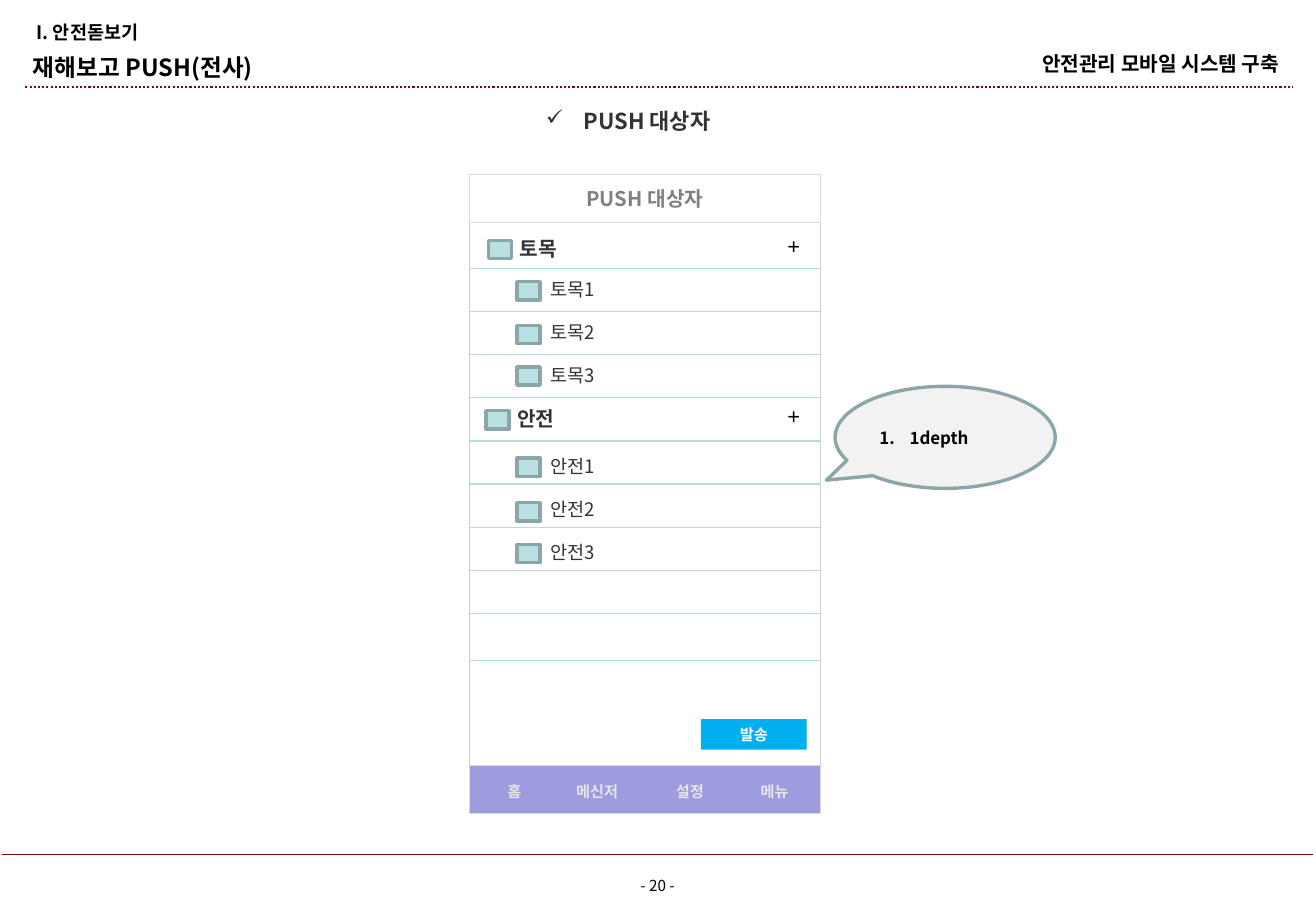
"""Build the slide on push targets in the mobile safety app."""
import pptx
import pptx.util
import pptx.dml.color
import pptx.enum.dml
import pptx.enum.shapes
import pptx.enum.text
import pptx.oxml.ns
import lxml.etree

Pt = pptx.util.Pt
RGB = pptx.dml.color.RGBColor
Kind = pptx.enum.shapes.MSO_SHAPE
Side = pptx.enum.text.PP_ALIGN
Edge = pptx.enum.text.MSO_ANCHOR
qn = pptx.oxml.ns.qn

SANS = "Noto Sans CJK KR"
BLACK = RGB(0, 0, 0)
WHITE = RGB(255, 255, 255)
DARK = RGB(0x33, 0x33, 0x33)
GRAY = RGB(0x80, 0x80, 0x80)
FRAME = RGB(0xCC, 0xCC, 0xCC)
RIM = RGB(0xD9, 0xD9, 0xD9)
PALE = RGB(0xE6, 0xE6, 0xE6)
CLOUD = RGB(0xF2, 0xF2, 0xF2)
RED = RGB(0x7D, 0x09, 0x05)
TEAL = RGB(0xB6, 0xDC, 0xDF)
AQUA = RGB(0xBB, 0xE0, 0xE3)
SLATE = RGB(0x8A, 0xA6, 0xA8)
BLUE = RGB(0, 0xB0, 0xF0)
LILAC = RGB(0x9C, 0x9C, 0xDF)

deck = pptx.Presentation()
deck.slide_width, deck.slide_height = Pt(780), Pt(540)
slide = deck.slides.add_slide(deck.slide_layouts[6])
shapes = slide.shapes


def draw(kind, place, fill, line=None, width=0.5):
    shape = shapes.add_shape(kind, *map(Pt, place))
    shape.shadow.inherit = False
    shape.fill.solid()
    shape.fill.fore_color.rgb = fill
    if line is None:
        shape.line.fill.background()
    else:
        shape.line.color.rgb = line
        shape.line.width = Pt(width)
    return shape


def write(target, text, size, color, bold=True, align=Side.CENTER,
          anchor=Edge.TOP, inset=True, face=SANS, bullet=None, indent=0):
    if isinstance(target, tuple):
        target = shapes.add_textbox(*map(Pt, target))
    frame = target.text_frame
    frame.word_wrap = True
    frame.vertical_anchor = anchor
    if not inset:
        frame.margin_left = frame.margin_right = 0
        frame.margin_top = frame.margin_bottom = 0
    frame.text = text
    para = frame.paragraphs[0]
    para.alignment = align
    if bullet:
        props = para._p.get_or_add_pPr()
        props.set("marL", str(Pt(indent)))
        props.set("indent", str(-Pt(indent)))
        tag, key, value = bullet
        lxml.etree.SubElement(props, qn(tag)).set(key, value)
    run = para.runs[0]
    run.font.size = Pt(size)
    run.font.bold = bold
    run.font.color.rgb = color
    run.font.name = face
    east = lxml.etree.SubElement(run._r.get_or_add_rPr(), qn("a:ea"))
    east.set("typeface", face)
    return para


write((365.5, 516, 48.5, 18), "- 20 -", 9, BLACK, bold=False)
write((523.5, 28.8, 237.6, 17.3), "안전관리 모바일 시스템 구축 ", 12, BLACK,
      align=Side.RIGHT, anchor=Edge.MIDDLE, inset=False)
write((19.5, 31, 316.8, 17.3), "재해보고 PUSH(전사)", 14, BLACK,
      align=Side.LEFT, anchor=Edge.MIDDLE, inset=False)
part = write((21.6, 10.8, 255.6, 15.1), "I. 안전돋보기", 11, BLACK,
             align=Side.LEFT, anchor=Edge.MIDDLE, inset=False)
part.line_spacing = 1.1
write((266.4, 60.5, 211.7, 23), "PUSH 대상자", 13, DARK,
      bullet=("a:buChar", "char", "✓"), indent=22.5)

draw(Kind.RECTANGLE, (278, 103.3, 208.5, 378.5), WHITE, FRAME)
title = draw(Kind.RECTANGLE, (278, 103.3, 208.5, 28.6), WHITE, RIM)
write(title, "PUSH 대상자", 12, GRAY, anchor=Edge.MIDDLE)
send = draw(Kind.RECTANGLE, (415.5, 426.3, 62.6, 18), BLUE)
write(send, "발송", 9, WHITE)
draw(Kind.RECTANGLE, (278, 454, 208.5, 28.5), LILAC, RIM)
tabs = [("홈", 280), ("메신저", 329), ("설정", 384), ("메뉴", 434.2)]
for name, left in tabs:
    write((left, 460.4, 49.7, 18), name, 9, PALE)

rules = [(278.5, 486.5, 159.2 + 25.55 * i, TEAL, 0.75) for i in range(9)]
rules += [(278.5, 486.5, 391.7, TEAL, 0.75),
          (1.5, 778.5, 506.5, RED, 0.75),
          (15, 766, 51.7, RED, 1.25)]
for left, right, y, color, width in rules:
    rule = shapes.add_connector(pptx.enum.shapes.MSO_CONNECTOR.STRAIGHT,
                                Pt(left), Pt(y), Pt(right), Pt(y))
    rule.line.color.rgb = color
    rule.line.width = Pt(width)
    lxml.etree.SubElement(rule._element.spPr, qn("a:effectLst"))
rule.line.dash_style = pptx.enum.dml.MSO_LINE.ROUND_DOT

groups = [("토목", 301, 136.8, 142.6, 289.4, 131.8),
          ("안전", 299.5, 237.6, 243.4, 288, 232.6)]
for name, left, top, check, edge, plus in groups:
    write((left, top, 145.4, 21.6), name, 12, DARK, align=Side.LEFT)
    draw(Kind.RECTANGLE, (edge, check, 13.7, 10.8), AQUA, SLATE, 2)
    write((455, plus, 31, 27.4), "+", 13, BLACK, bold=False,
          anchor=Edge.MIDDLE, face="Arial")

items = [("토목1", 161.2, 167), ("토목2", 186.6, 193), ("토목3", 212.2, 217.5),
         ("안전1", 266.4, 271.5), ("안전2", 291.7, 298), ("안전3", 317.4, 322.6)]
for name, top, check in items:
    write((319, top, 145.4, 20.6), name, 11, DARK, bold=False, align=Side.LEFT)
    draw(Kind.RECTANGLE, (306.4, check, 13.7, 10.8), AQUA, SLATE, 2)

note = draw(Kind.OVAL_CALLOUT, (495, 229, 130.5, 60.5), CLOUD, SLATE, 2)
note.adjustments[0], note.adjustments[1] = -0.54, 0.42
write(note, "1depth", 10, BLACK, align=Side.LEFT, anchor=Edge.MIDDLE,
      bullet=("a:buAutoNum", "type", "arabicPeriod"), indent=18)

deck.save("out.pptx")
